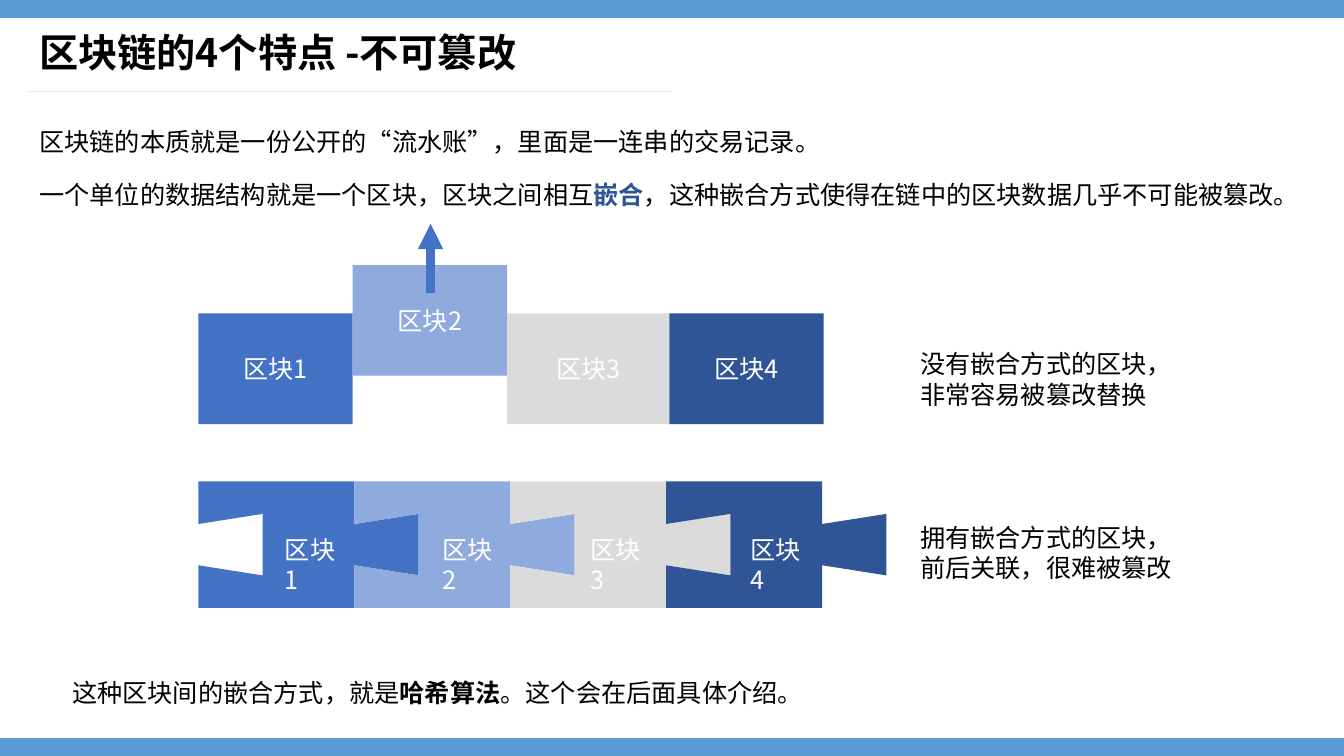
from lxml import etree
from pptx import Presentation
from pptx.dml.color import RGBColor
from pptx.enum.shapes import MSO_CONNECTOR, MSO_SHAPE
from pptx.enum.text import MSO_ANCHOR, PP_ALIGN
from pptx.oxml.ns import qn
from pptx.util import Cm, Pt

STRAIGHT = MSO_CONNECTOR.STRAIGHT
RECT = MSO_SHAPE.RECTANGLE
MIDDLE, TOP = MSO_ANCHOR.MIDDLE, MSO_ANCHOR.TOP
CENTER = PP_ALIGN.CENTER

FONT = "Noto Sans CJK SC"
BLACK, WHITE, BAND, RULE = "000000", "FFFFFF", "5B9BD5", "DAE3F3"
BLUE, LIGHT, GREY, NAVY = "4472C4", "8FAADC", "DBDBDB", "2F5597"
W, H = 33.87, 19.05

LOOSE_BLOCKS = [
    (5.0, 7.9, 3.89, BLUE),
    (8.89, 6.68, 3.89, LIGHT),
    (12.78, 7.9, 4.09, GREY),
    (16.87, 7.9, 3.89, NAVY),
]
LINKED_BLOCKS = [(BLUE, 6.93), (LIGHT, 10.9), (GREY, 14.63), (NAVY, 18.67)]
LINKED_LEFT, LINKED_TOP, LINKED_W, LINKED_H = 5.0, 12.13, 3.93, 3.19
TAB_DEPTH, NECK, FLARE = 1.62, 1.04, 1.55


def rgb(value):
    return RGBColor.from_string(value)


def set_attrs(obj, values):
    for name, value in values.items():
        setattr(obj, name, value)


def paint(sp, color):
    sp.shadow.inherit = False
    sp.fill.solid()
    sp.fill.fore_color.rgb = rgb(color)
    sp.line.fill.background()


def add_run(p, text, color, bold=False, size=18):
    r = p.add_run()
    r.text = text
    set_attrs(r.font, {"name": FONT, "size": Pt(size), "bold": bold})
    r.font.color.rgb = rgb(color)
    etree.SubElement(r.font._element, qn("a:ea"), typeface=FONT)


def write(tf, paragraphs, anchor=TOP, **fmt):
    set_attrs(tf, {"word_wrap": True, "vertical_anchor": anchor})
    for i, runs in enumerate(paragraphs):
        p = tf.add_paragraph() if i else tf.paragraphs[0]
        set_attrs(p, fmt)
        for run in runs:
            add_run(p, *run)


def add_text(s, x, y, w, h, paragraphs, **fmt):
    tb = s.shapes.add_textbox(Cm(x), Cm(y), Cm(w), Cm(h))
    write(tb.text_frame, paragraphs, **fmt)


def add_rect(s, x, y, w, h, color):
    sp = s.shapes.add_shape(RECT, Cm(x), Cm(y), Cm(w), Cm(h))
    paint(sp, color)
    return sp


def add_line(s, x1, y1, x2, y2, color, width, arrow=False):
    cn = s.shapes.add_connector(STRAIGHT, Cm(x1), Cm(y1), Cm(x2), Cm(y2))
    cn.line.color.rgb = rgb(color)
    cn.line.width = Pt(width)
    if arrow:
        etree.SubElement(cn.line._get_or_add_ln(), qn("a:tailEnd"), type="triangle")
    etree.SubElement(cn._element.spPr, qn("a:effectLst"))


def add_linked_block(s, x, color):
    top, bottom = LINKED_TOP, LINKED_TOP + LINKED_H
    mid = (top + bottom) / 2
    right = x + LINKED_W

    def joint(edge):
        return [
            (edge, mid - NECK / 2),
            (edge + TAB_DEPTH, mid - FLARE / 2),
            (edge + TAB_DEPTH, mid + FLARE / 2),
            (edge, mid + NECK / 2),
        ]

    points = [(right, top), *joint(right), (right, bottom), (x, bottom), *joint(x)[::-1]]
    fb = s.shapes.build_freeform(Cm(x), Cm(top))
    fb.add_line_segments([(Cm(px), Cm(py)) for px, py in points], close=True)
    paint(fb.convert_to_shape(), color)


def main():
    prs = Presentation()
    set_attrs(prs, {"slide_width": Cm(W), "slide_height": Cm(H)})
    s = prs.slides.add_slide(prs.slide_layouts[6])

    for y in (0, H - 0.45):
        add_rect(s, 0, y, W, 0.45, BAND)
    add_line(s, 0.74, 2.29, 16.93, 2.29, RULE, 0.5)
    add_text(s, 0.74, 0.69, 29.21, 1.37,
             [[("区块链的4个特点 -不可篡改", BLACK, True, 28)]],
             anchor=MIDDLE, line_spacing=0.9)
    add_text(s, 0.74, 2.82, 32.74, 3.4, [
        [("区块链的本质就是一份公开的“流水账”，里面是一连串的交易记录。", BLACK)],
        [("一个单位的数据结构就是一个区块，区块之间相互", BLACK),
         ("嵌合", NAVY, True),
         ("，这种嵌合方式使得在链中的区块数据几乎不可能被篡改。", BLACK)],
    ], line_spacing=1.3, space_before=Pt(10))

    for i, (x, y, w, color) in enumerate(LOOSE_BLOCKS, 1):
        sp = add_rect(s, x, y, w, 2.79, color)
        write(sp.text_frame, [[(f"区块{i}", WHITE)]], anchor=MIDDLE, alignment=CENTER)
    add_line(s, 10.85, 7.39, 10.85, 5.64, BLUE, 6, arrow=True)

    for i, (color, label_x) in enumerate(LINKED_BLOCKS):
        add_linked_block(s, LINKED_LEFT + i * LINKED_W, color)
    for i, (color, label_x) in enumerate(LINKED_BLOCKS, 1):
        add_text(s, label_x, 13.34, 1.91, 0.84, [[(f"区块{i}", WHITE)]])

    add_text(s, 22.94, 8.66, 7.24, 1.8,
             [[("没有嵌合方式的区块，非常容易被篡改替换", BLACK)]])
    add_text(s, 22.94, 13.03, 7.24, 1.8,
             [[("拥有嵌合方式的区块， 前后关联，很难被篡改", BLACK)]])
    add_text(s, 1.57, 16.94, 19.1, 1.02, [[
        ("这种区块间的嵌合方式，就是", BLACK),
        ("哈希算法", BLACK, True),
        ("。这个会在后面具体介绍。", BLACK),
    ]])

    prs.save("out.pptx")


if __name__ == "__main__":
    main()
